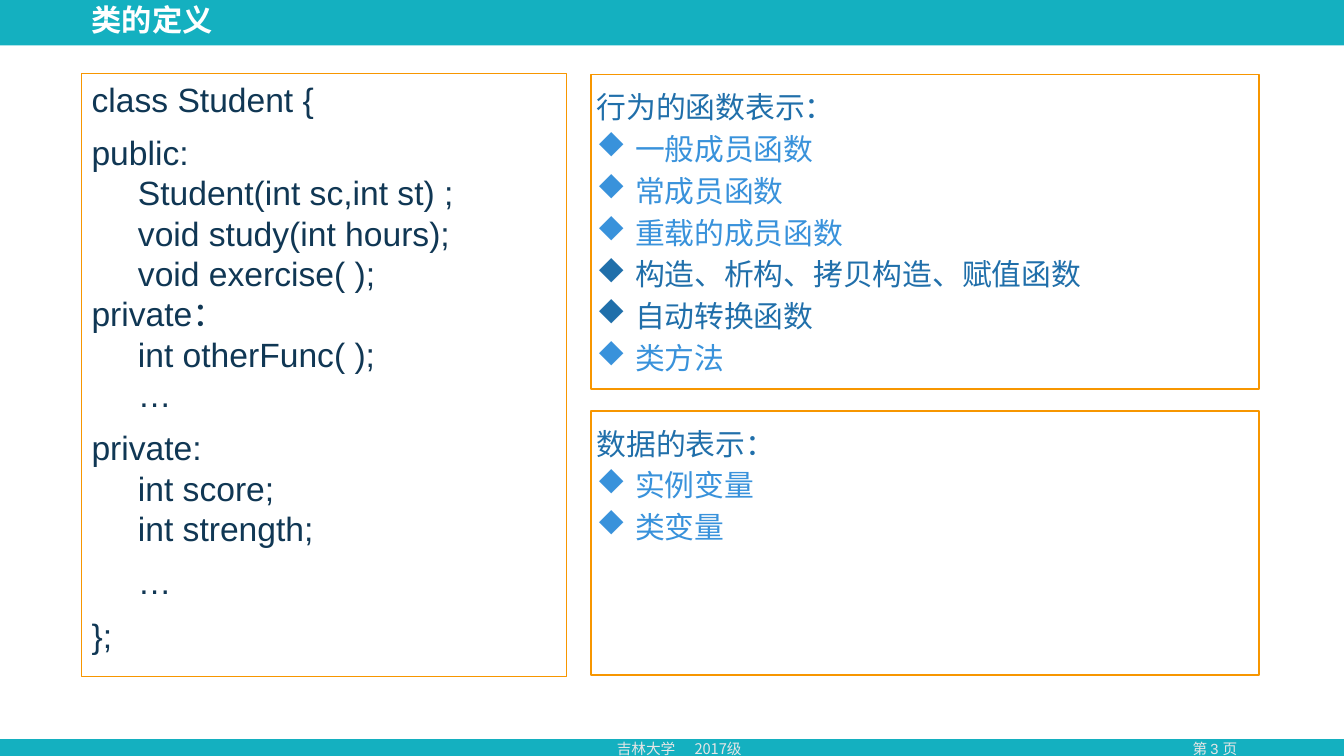
"""Build the slide on class definitions: code on the left, two topic cards on the right."""
from dataclasses import dataclass

from lxml.etree import SubElement
from pptx import Presentation
from pptx.dml.color import RGBColor
from pptx.enum.shapes import MSO_SHAPE
from pptx.enum.text import MSO_ANCHOR, PP_ALIGN
from pptx.oxml.ns import qn
from pptx.util import Inches, Pt

TEAL, WHITE, GRAY, ORANGE = "14B0C0", "FFFFFF", "E7E6E6", "F79600"
NAVY, BLUE, LIGHT = "103754", "206FAA", "3992DB"
ARIAL, NOTO = "Arial", "Noto Sans CJK SC"


@dataclass
class CodeLine:
    text: str
    indented: bool = True
    new_block: bool = False


@dataclass
class Item:
    text: str
    color: str = LIGHT


@dataclass
class Card:
    top: float
    height: float
    heading: str
    items: list[Item]


CODE = [
    CodeLine("class Student {", False, True),
    CodeLine("public:", False, True),
    CodeLine("Student(int sc,int st) ;"),
    CodeLine("void study(int hours);"),
    CodeLine("void exercise( );"),
    CodeLine("private：", False),
    CodeLine("int otherFunc( );"),
    CodeLine("…"),
    CodeLine("private:", False, True),
    CodeLine("int score;"),
    CodeLine("int strength;"),
    CodeLine("…", True, True),
    CodeLine("};", False, True),
]
CARDS = [
    Card(0.74, 3.12, "行为的函数表示：", [
        Item("一般成员函数"),
        Item("常成员函数"),
        Item("重载的成员函数"),
        Item("构造、析构、拷贝构造、赋值函数", BLUE),
        Item("自动转换函数", BLUE),
        Item("类方法"),
    ]),
    Card(4.08, 2.62, "数据的表示：", [Item("实例变量"), Item("类变量")]),
]


def rgb(color: str) -> RGBColor:
    return RGBColor.from_string(color)


def add_rect(s, left: float, top: float, width: float, height: float,
             fill: str = "", line: str = "", weight: float = 1.25):
    sp = s.shapes.add_shape(MSO_SHAPE.RECTANGLE, Inches(left), Inches(top),
                            Inches(width), Inches(height))
    sp.shadow.inherit = False
    if fill:
        sp.fill.solid()
        sp.fill.fore_color.rgb = rgb(fill)
    else:
        sp.fill.background()
    if line:
        sp.line.color.rgb = rgb(line)
        sp.line.width = Pt(weight)
    else:
        sp.line.fill.background()
    return sp


def add_text(s, left: float, top: float, width: float, height: float):
    tf = s.shapes.add_textbox(Inches(left), Inches(top), Inches(width), Inches(height)).text_frame
    tf.word_wrap = True
    return tf


def next_paragraph(tf, first: bool):
    return tf.paragraphs[0] if first else tf.add_paragraph()


def add_run(p, text: str, size: float, color: str, font: str = NOTO, bold: bool = False) -> None:
    r = p.add_run()
    r.text = text
    r.font.size = Pt(size)
    r.font.bold = bold
    r.font.name = font
    r.font.color.rgb = rgb(color)
    SubElement(r.font._element, qn("a:ea"), typeface=NOTO)


def set_indent(p, left: float, first: float = 0):
    pPr = p._p.get_or_add_pPr()
    pPr.set("marL", str(Inches(left)))
    pPr.set("indent", str(Inches(first)))
    return pPr


def add_code(s) -> None:
    tf = add_rect(s, 0.81, 0.73, 4.81, 5.98, line=ORANGE, weight=0.75).text_frame
    tf.word_wrap = True
    tf.vertical_anchor = MSO_ANCHOR.TOP
    for i, line in enumerate(CODE):
        p = next_paragraph(tf, i == 0)
        p.alignment = PP_ALIGN.LEFT
        p.line_spacing = Pt(28.8)
        p.space_before = Pt(9.3 if line.new_block and i else 0)
        set_indent(p, 0.46 if line.indented else 0)
        add_run(p, line.text, 24, NAVY, ARIAL)


def add_card(s, card: Card) -> None:
    add_rect(s, 5.86, card.top, 6.63, card.height, line=ORANGE)
    tf = add_text(s, 5.82, card.top + 0.03, 6.73, card.height - 0.06)
    for i, item in enumerate([Item(card.heading, BLUE), *card.items]):
        p = next_paragraph(tf, i == 0)
        p.line_spacing = Pt(29.9)
        if i:
            pPr = set_indent(p, 0.38, -0.38)
            SubElement(pPr, qn("a:buFont"), typeface="Wingdings", charset="2")
            SubElement(pPr, qn("a:buChar"), char="u")
        add_run(p, item.text, 21.3, item.color)


def add_frame(s) -> None:
    add_rect(s, 0, 0, 13.33, 7.5, fill=TEAL)
    add_rect(s, 0, 0.45, 13.33, 6.88, fill=WHITE)

    p = add_text(s, 11.32, 7.29, 1.46, 0.28).paragraphs[0]
    p.alignment = PP_ALIGN.CENTER
    add_run(p, "第 3 页", 10.5, GRAY, ARIAL)

    p = add_text(s, 6.02, 7.29, 1.84, 0.28).paragraphs[0]
    tabs = SubElement(p._p.get_or_add_pPr(), qn("a:tabLst"))
    SubElement(tabs, qn("a:tab"), pos=str(Inches(0.77)), algn="l")
    add_run(p, "吉林大学\t2017级", 10.5, GRAY)

    tf = add_text(s, 0.81, 0, 9.5, 0.44)
    tf.vertical_anchor = MSO_ANCHOR.MIDDLE
    p = tf.paragraphs[0]
    p.line_spacing = 0.9
    add_run(p, "类的定义", 21.6, WHITE, bold=True)


def main() -> None:
    prs = Presentation()
    prs.slide_width, prs.slide_height = Inches(13.33), Inches(7.5)
    s = prs.slides.add_slide(prs.slide_layouts[6])
    add_frame(s)
    add_code(s)
    for card in CARDS:
        add_card(s, card)
    prs.save("out.pptx")


if __name__ == "__main__":
    main()
